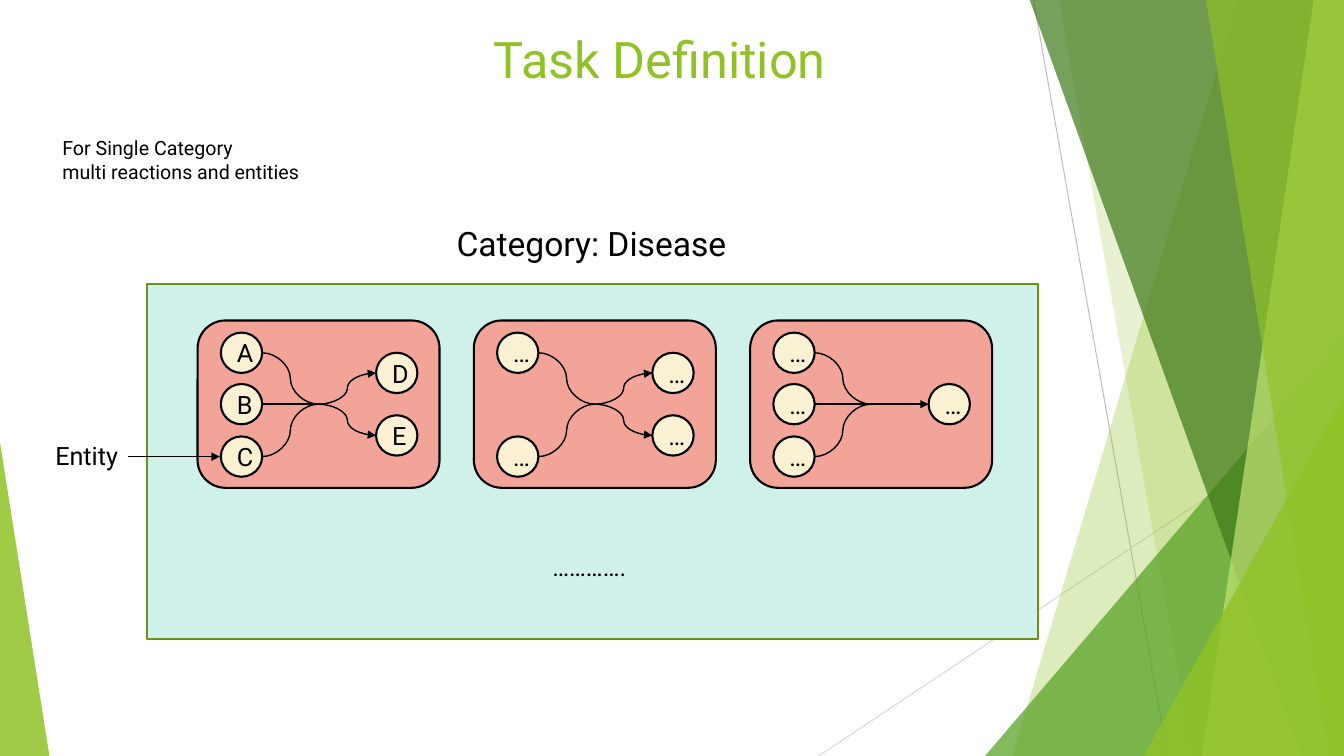
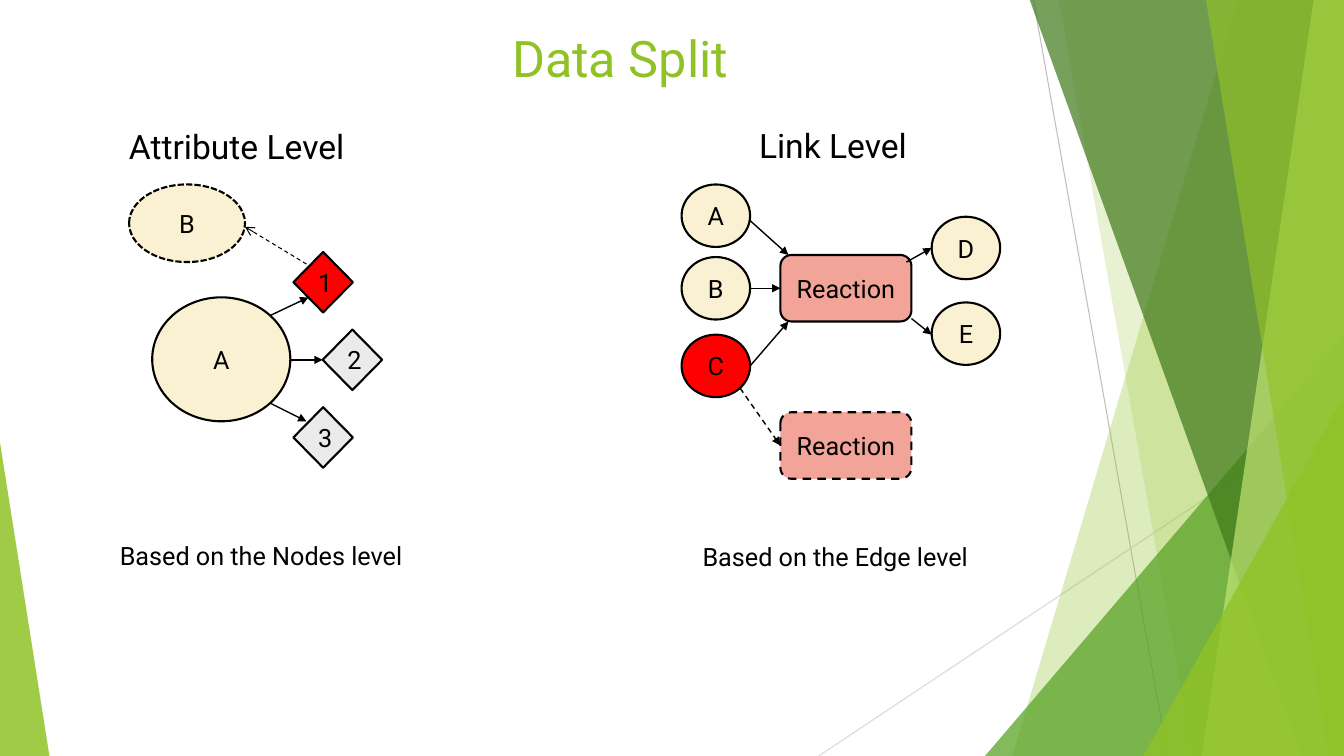
import dataclasses
import typing

import lxml.etree
import pptx
import pptx.dml.color
import pptx.enum.dml
import pptx.enum.shapes
import pptx.enum.text
import pptx.oxml.ns
import pptx.util

Inches = pptx.util.Inches
Pt = pptx.util.Pt
qn = pptx.oxml.ns.qn
SHAPE = pptx.enum.shapes.MSO_SHAPE
CONNECTOR = pptx.enum.shapes.MSO_CONNECTOR
DASH = pptx.enum.dml.MSO_LINE

WIDTH, HEIGHT = 13.33, 7.5
TOP = -0.01
FONT = "Roboto"
BLACK, GREEN, DARK_GREEN = "000000", "90C226", "6B901C"
CREAM, SALMON, MINT = "FAF1D2", "F2A499", "D0F1EA"
RED, GRAY = "FF0000", "EBEBEB"


def rgb(code):
    return pptx.dml.color.RGBColor.from_string(code)


@dataclasses.dataclass
class Deck:
    presentation: typing.Any
    slide: typing.Any = None

    def new_slide(self, title, left, top):
        self.slide = self.presentation.slides.add_slide(self.presentation.slide_layouts[6])
        self.backdrop()
        self.label(title, left, top, 6.85, 1.26, 36, GREEN)

    def backdrop(self):
        self.line((10.25, 0), (11.58, HEIGHT), "BFBFBF", 0.75, head=None)
        self.line((WIDTH, 4.03), (8.12, HEIGHT), "D9D9D9", 0.75, head=None)
        self.band(12.28, 10.04, GREEN, 30)
        self.band(10.5, 11.83, GREEN, 20)
        self.corner(9.77, 3.33, 3.56, 1, "54A021", 72)
        self.band(10.21, 12.91, "3F7819", 70)
        self.band(13.03, 11.92, "C0E474", 70)
        self.band(11.96, 13.18, GREEN, 65)
        self.corner(11.34, 3.93, 1.99, 1, GREEN, 80)
        self.corner(0, 4.39, 0.49, 0, GREEN, 85)

    def band(self, upper, lower, color, opacity):
        outline = self.slide.shapes.build_freeform(Inches(upper), Inches(TOP))
        edge = [(WIDTH, TOP), (WIDTH, HEIGHT), (lower, HEIGHT)]
        outline.add_line_segments([(Inches(x), Inches(y)) for x, y in edge], close=True)
        self.paint(outline.convert_to_shape(), color, opacity)

    def corner(self, left, top, width, apex, color, opacity):
        triangle = self.slide.shapes.add_shape(
            SHAPE.ISOSCELES_TRIANGLE, Inches(left), Inches(top),
            Inches(width), Inches(HEIGHT - top))
        triangle.adjustments[0] = apex
        self.paint(triangle, color, opacity)

    def paint(self, shape, color, opacity):
        shape.shadow.inherit = False
        shape.fill.solid()
        shape.fill.fore_color.rgb = rgb(color)
        tint = shape.element.spPr.find(".//" + qn("a:srgbClr"))
        lxml.etree.SubElement(tint, qn("a:alpha")).set("val", str(opacity * 1000))
        shape.line.fill.background()

    def add_text(self, paragraph, text, size, color=BLACK):
        run = paragraph.add_run()
        run.text = text
        run.font.name = FONT
        run.font.size = Pt(size)
        run.font.color.rgb = rgb(color)

    def label(self, text, left, top, width, height, size=18, color=BLACK):
        frame = self.slide.shapes.add_textbox(
            Inches(left), Inches(top), Inches(width), Inches(height)).text_frame
        frame.word_wrap = True
        for index, words in enumerate(text.split("\n")):
            paragraph = frame.add_paragraph() if index else frame.paragraphs[0]
            self.add_text(paragraph, words, size, color)

    def node(self, kind, left, top, width, height, fill, text="", border=BLACK, dash=None):
        shape = self.slide.shapes.add_shape(
            kind, Inches(left), Inches(top), Inches(width), Inches(height))
        shape.shadow.inherit = False
        shape.fill.solid()
        shape.fill.fore_color.rgb = rgb(fill)
        shape.line.color.rgb = rgb(border)
        shape.line.width = Pt(1.5)
        if dash:
            shape.line.dash_style = dash
        if text:
            shape.text_frame.vertical_anchor = pptx.enum.text.MSO_ANCHOR.MIDDLE
            paragraph = shape.text_frame.paragraphs[0]
            paragraph.alignment = pptx.enum.text.PP_ALIGN.CENTER
            self.add_text(paragraph, text, 18)

    def line(self, start, end, color=BLACK, weight=1, head="triangle", dash=None, curved=False):
        kind = CONNECTOR.CURVE if curved else CONNECTOR.STRAIGHT
        connector = self.slide.shapes.add_connector(
            kind, *[Inches(value) for value in start + end])
        connector.line.color.rgb = rgb(color)
        connector.line.width = Pt(weight)
        if dash:
            connector.line.dash_style = dash
        properties = connector.element.spPr
        if head:
            stroke = properties.find(qn("a:ln"))
            lxml.etree.SubElement(stroke, qn("a:tailEnd")).set("type", head)
        lxml.etree.SubElement(properties, qn("a:effectLst"))

    def reaction(self, left, inputs, outputs):
        width, height = 0.41, 0.4
        self.node(SHAPE.ROUNDED_RECTANGLE, left, 3.18, 2.4, 1.66, SALMON)
        meeting = (left + 1.2, 4.01)
        input_left, output_left = left + 0.23, left + 1.77
        for text, middle in inputs:
            self.node(SHAPE.OVAL, input_left, middle - height / 2, width, height, CREAM, text)
            self.line((input_left + width, middle), meeting, head=None,
                      curved=middle != meeting[1])
        for text, middle in outputs:
            self.node(SHAPE.OVAL, output_left, middle - height / 2, width, height, CREAM, text)
            self.line(meeting, (output_left, middle), curved=middle != meeting[1])


presentation = pptx.Presentation()
presentation.slide_width = Inches(WIDTH)
presentation.slide_height = Inches(HEIGHT)
deck = Deck(presentation)

deck.new_slide("Task Definition", 4.8, 0.23)
deck.node(SHAPE.RECTANGLE, 1.46, 2.82, 8.84, 3.52, MINT, border=DARK_GREEN)
deck.label("For Single Category\nmulti reactions and entities", 0.52, 1.3, 2.64, 0.57, 14)
upper, middle, lower = 3.5, 4.01, 4.53
pair = (3.7, 4.32)
reactions = [
    (zip("ABC", (upper, middle, lower)), zip("DE", pair)),
    (zip("……", (upper, lower)), zip("……", pair)),
    (zip("………", (upper, middle, lower)), [("…", middle)]),
]
for index, (inputs, outputs) in enumerate(reactions):
    deck.reaction(1.96 + 2.74 * index, inputs, outputs)
deck.label("………….", 5.38, 5.42, 1.04, 0.4)
deck.label("Category: Disease", 4.43, 2.16, 2.9, 0.5, 24)
deck.label("Entity", 0.45, 4.32, 0.87, 0.4)
deck.line((1.27, lower), (2.18, lower))

deck.new_slide("Data Split", 4.98, 0.22)
deck.label("Attribute Level", 1.18, 1.2, 2.49, 0.5, 24)
deck.node(SHAPE.OVAL, 1.51, 2.95, 1.37, 1.23, CREAM, "A")
attributes = [("1", 2.91, RED), ("2", 3.2, GRAY), ("3", 2.91, GRAY)]
for index, (text, left, fill) in enumerate(attributes):
    deck.node(SHAPE.DIAMOND, left, 2.5 + 0.77 * index, 0.59, 0.6, fill, text)
attribute_arrows = [
    ((2.68, 3.13), (3.06, 2.95)),
    ((2.88, 3.57), (3.2, 3.57)),
    ((2.68, 4), (3.04, 4.18)),
]
for start, end in attribute_arrows:
    deck.line(start, end)
deck.line((3.04, 2.62), (2.43, 2.25), weight=0.75, head="arrow", dash=DASH.DASH)
deck.node(SHAPE.OVAL, 1.28, 1.83, 1.15, 0.77, CREAM, "B", dash=DASH.SQUARE_DOT)
deck.label("Based on the Nodes level", 1.09, 5.31, 3.03, 0.4)

deck.label("Link Level", 7.43, 1.19, 1.73, 0.5, 24)
for top, dash in [(2.53, None), (4.09, DASH.DASH)]:
    deck.node(SHAPE.ROUNDED_RECTANGLE, 7.74, top, 1.3, 0.66, SALMON, "Reaction", dash=dash)
entities = [
    ("A", 6.76, 1.83, CREAM),
    ("B", 6.76, 2.55, CREAM),
    ("C", 6.76, 3.32, RED),
    ("D", 9.24, 2.15, CREAM),
    ("E", 9.24, 3, CREAM),
]
for text, left, top, fill in entities:
    deck.node(SHAPE.OVAL, left, top, 0.68, 0.62, fill, text)
link_arrows = [
    ((8.99, 2.6), (9.24, 2.46)),
    ((7.43, 2.18), (7.82, 2.53)),
    ((7.44, 2.86), (7.74, 2.86)),
    ((7.44, 3.63), (7.82, 3.19)),
    ((9.04, 3.16), (9.24, 3.32)),
]
for start, end in link_arrows:
    deck.line(start, end)
deck.line((7.34, 3.85), (7.74, 4.42), dash=DASH.DASH)
deck.label("Based on the Edge level", 6.87, 5.32, 2.9, 0.4)

presentation.save("out.pptx")
